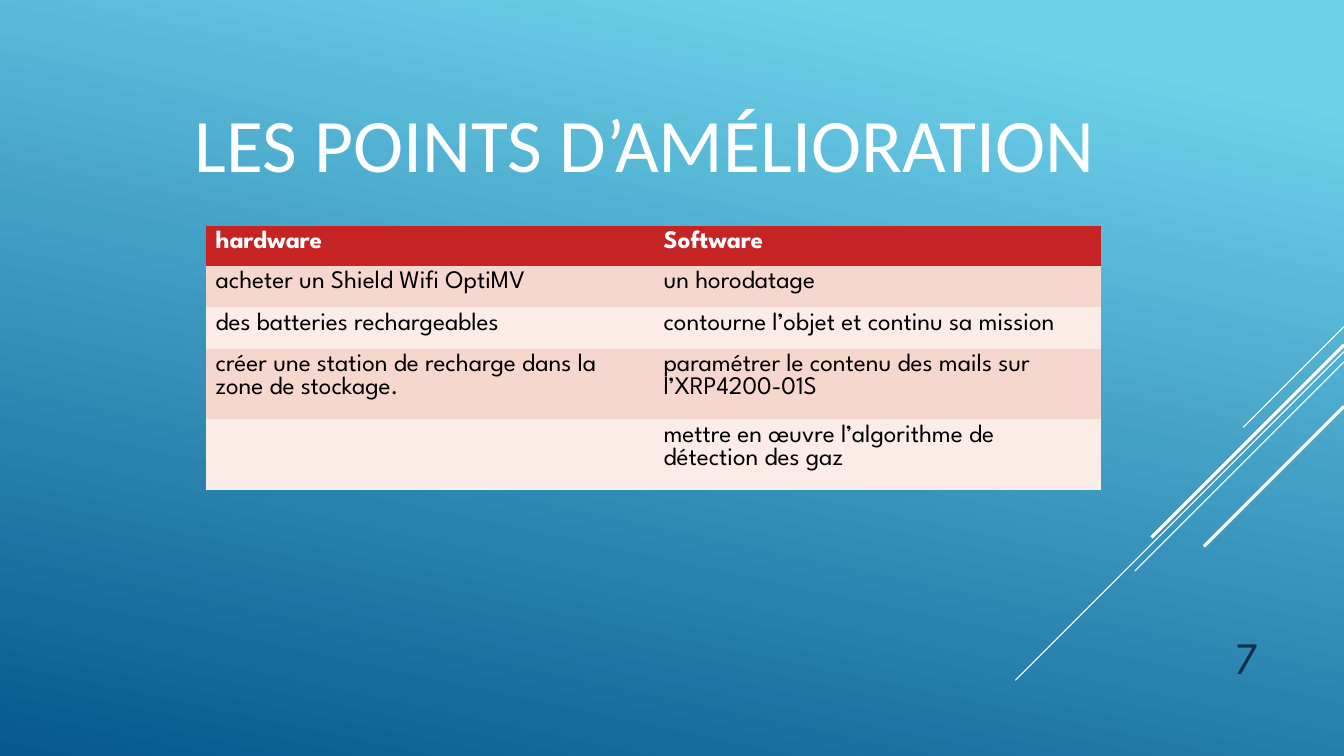
from dataclasses import dataclass

from lxml.etree import SubElement
from pptx import Presentation
from pptx.dml.color import RGBColor as RGB
from pptx.enum.shapes import MSO_CONNECTOR as CONN
from pptx.enum.text import MSO_ANCHOR as ANCHOR, PP_ALIGN as ALIGN
from pptx.oxml.ns import qn
from pptx.util import Cm, Pt


@dataclass(frozen=True)
class Theme:
    sky: str = "6ED2EB"
    sea: str = "06588E"
    white: str = "FFFFFF"
    black: str = "000000"
    navy: str = "0A304A"
    header: str = "C62324"
    bands: tuple = ("F6D7CE", "FBECE8")
    title_font: str = "Calibri"
    body_font: str = "League Spartan"
    title_size: int = 54
    number_size: int = 32
    body_size: int = 18


T = Theme()
WIDTH, HEIGHT = 33.87, 19.05

# Top of each 45° ray on the right edge, its run to the left, its weight
RAYS = [
    (8.23, 2.54, 0.75),
    (8.86, 8.28, 0.75),
    (9.12, 5.27, 0.75),
    (8.69, 4.85, 2.25),
    (10.24, 3.53, 2.25),
]

IMPROVEMENTS = [
    ("hardware", "Software"),
    ("acheter un Shield Wifi OptiMV", "un horodatage"),
    ("des batteries rechargeables", "contourne l’objet et continu sa mission"),
    ("créer une station de recharge dans la zone de stockage.",
     "paramétrer le contenu des mails sur l’XRP4200-01S"),
    ("", "mettre en œuvre l’algorithme de détection des gaz"),
]
ROW_HEIGHTS = [0.84, 1.04, 1.04, 1.42, 1.42]
COLUMN_WIDTH = 11.29


def set_background(s):
    fill = s.background.fill
    fill.gradient()
    fill.gradient_angle = 258
    for stop, color, position in zip(fill.gradient_stops, (T.sky, T.sea), (0.1, 1)):
        stop.color.rgb = RGB.from_string(color)
        stop.position = position


def add_run(p, text, font, size, color, bold=False):
    r = p.add_run()
    r.text = text
    r.font.name = font
    r.font.size = Pt(size)
    r.font.bold = bold
    r.font.color.rgb = RGB.from_string(color)


def add_text(s, box, text, font, size, color, align, anchor):
    tf = s.shapes.add_textbox(*map(Cm, box)).text_frame
    tf.word_wrap = True
    tf.vertical_anchor = anchor
    p = tf.paragraphs[0]
    p.alignment = align
    add_run(p, text, font, size, color)


def add_ray(s, top, run, weight):
    ray = s.shapes.add_connector(
        CONN.STRAIGHT, Cm(WIDTH), Cm(top), Cm(WIDTH - run), Cm(top + run))
    ray.line.color.rgb = RGB.from_string(T.white)
    ray.line.width = Pt(weight)
    SubElement(ray._element.spPr, qn("a:effectLst"))


def add_table(s, left, top, rows):
    columns = len(rows[0])
    table = s.shapes.add_table(
        len(rows), columns, Cm(left), Cm(top),
        Cm(columns * COLUMN_WIDTH), Cm(sum(ROW_HEIGHTS))).table
    for column in table.columns:
        column.width = Cm(COLUMN_WIDTH)
    for i, texts in enumerate(rows):
        table.rows[i].height = Cm(ROW_HEIGHTS[i])
        is_header = i == 0
        fill = T.header if is_header else T.bands[(i - 1) % 2]
        color = T.white if is_header else T.black
        for j, text in enumerate(texts):
            cell = table.cell(i, j)
            cell.fill.solid()
            cell.fill.fore_color.rgb = RGB.from_string(fill)
            if text:
                add_run(cell.text_frame.paragraphs[0], text,
                        T.body_font, T.body_size, color, is_header)
    # Bands are separated by fill alone
    for cell in table.iter_cells():
        tcPr = cell._tc.get_or_add_tcPr()
        for i, side in enumerate(("lnL", "lnR", "lnT", "lnB")):
            line = tcPr.makeelement(qn(f"a:{side}"), {"w": "0"})
            SubElement(line, qn("a:noFill"))
            tcPr.insert(i, line)


def main():
    prs = Presentation()
    prs.slide_width, prs.slide_height = Cm(WIDTH), Cm(HEIGHT)
    s = prs.slides.add_slide(prs.slide_layouts[6])

    # Backdrop
    set_background(s)
    for ray in RAYS:
        add_ray(s, *ray)

    # Title and slide number
    add_text(s, (4.62, 1.5, 23.7, 4.19), "LES POINTS D’AMÉLIORATION ",
             T.title_font, T.title_size, T.white, ALIGN.CENTER, ANCHOR.MIDDLE)
    add_text(s, (28.78, 15.49, 3.18, 1.85), "7",
             T.body_font, T.number_size, T.navy, ALIGN.RIGHT, ANCHOR.BOTTOM)

    # Improvements
    add_table(s, 5.18, 5.69, IMPROVEMENTS)

    prs.save("out.pptx")


if __name__ == "__main__":
    main()
